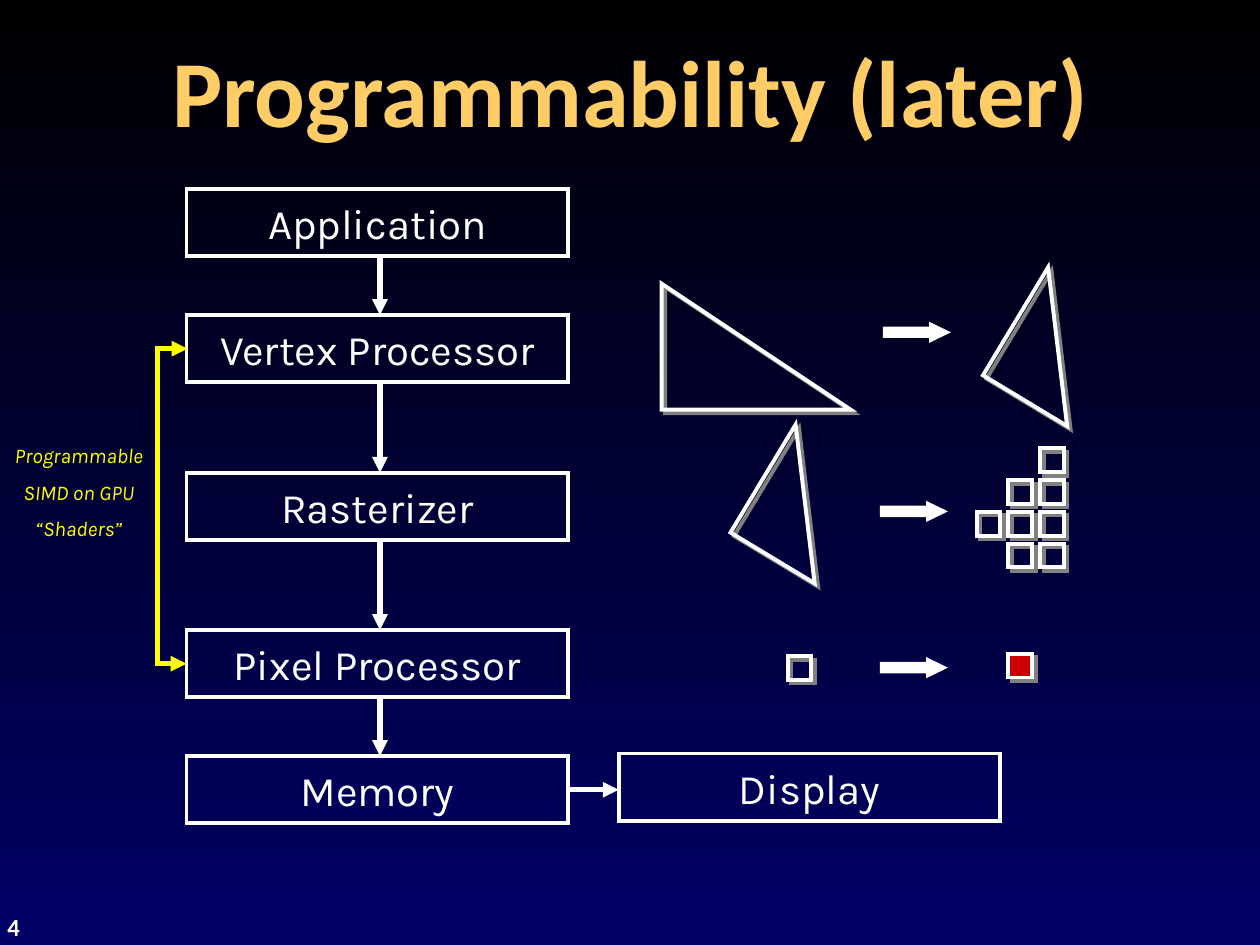
from dataclasses import dataclass
from itertools import pairwise

from lxml.etree import SubElement
from pptx import Presentation
from pptx.dml.color import RGBColor
from pptx.enum.shapes import MSO_CONNECTOR, MSO_SHAPE
from pptx.enum.text import MSO_ANCHOR, PP_ALIGN
from pptx.oxml.ns import qn
from pptx.util import Cm, Pt


@dataclass(frozen=True)
class Theme:
    white: RGBColor = RGBColor(0xFF, 0xFF, 0xFF)
    gold: RGBColor = RGBColor(0xFF, 0xCC, 0x66)
    yellow: RGBColor = RGBColor(0xFF, 0xFF, 0x00)
    red: RGBColor = RGBColor(0xCC, 0x00, 0x00)
    sky_top: RGBColor = RGBColor(0x00, 0x00, 0x00)
    sky_bottom: RGBColor = RGBColor(0x00, 0x00, 0x66)
    shadow: str = "808080"
    heading_font: str = "Calibri"
    body_font: str = "Karla"
    title_size: int = 54
    stage_size: int = 24
    number_size: int = 14
    note_size: int = 12
    outline: float = 2.25
    arrow: float = 3


@dataclass(frozen=True)
class Box:
    """A region in centimetres."""
    left: float
    top: float
    width: float
    height: float

    def inner(self, dx, dy, width, height):
        return Box(self.left + dx, self.top + dy, width, height)

    def lengths(self):
        return [Cm(v) for v in (self.left, self.top, self.width, self.height)]


THEME = Theme()
PIXEL = 0.48
PIXEL_PITCH = 0.64
COVERAGE = ("..#", ".##", "###", ".##")


def write(frame, text, size, color, font=THEME.body_font, bold=False,
          italic=False, align=PP_ALIGN.CENTER, gap=0):
    frame.word_wrap = True
    frame.vertical_anchor = MSO_ANCHOR.MIDDLE
    frame.text = text
    for index, paragraph in enumerate(frame.paragraphs):
        paragraph.alignment = align
        if index:
            paragraph.space_before = Pt(gap)
        for run in paragraph.runs:
            run.font.name, run.font.size = font, Pt(size)
            run.font.bold, run.font.italic = bold, italic
            run.font.color.rgb = color


def add_label(shapes, box, text, size, color, **style):
    write(shapes.add_textbox(*box.lengths()).text_frame, text, size, color, **style)


def add_outline(shapes, kind, box, fill=None, shadow=False):
    shape = shapes.add_shape(kind, *box.lengths())
    if fill is None:
        shape.fill.background()
    else:
        shape.fill.solid()
        shape.fill.fore_color.rgb = fill
    shape.line.color.rgb = THEME.white
    shape.line.width = Pt(THEME.outline)
    SubElement(shape.line._ln, qn("a:miter"), lim="800000")
    shape.shadow.inherit = False
    if shadow:
        effects = shape._element.spPr.find(qn("a:effectLst"))
        outer = SubElement(effects, qn("a:outerShdw"), dist=str(Pt(2.8)),
                           dir="2700000", algn="ctr", rotWithShape="0")
        SubElement(outer, qn("a:srgbClr"), val=THEME.shadow)
    return shape


def add_arrow(shapes, kind, start, end, color, ends=("tailEnd",)):
    arrow = shapes.add_connector(kind, *(Cm(v) for v in (*start, *end)))
    arrow.line.color.rgb = color
    arrow.line.width = Pt(THEME.arrow)
    SubElement(arrow.line._ln, qn("a:miter"), lim="800000")
    for end_name in ends:
        SubElement(arrow.line._ln, qn(f"a:{end_name}"), type="triangle")
    SubElement(arrow._element.spPr, qn("a:effectLst"))
    return arrow


def add_stage(shapes, box, name):
    stage = add_outline(shapes, MSO_SHAPE.RECTANGLE, box)
    write(stage.text_frame, name, THEME.stage_size, THEME.white)


def add_pipeline(shapes, box):
    """Stack the stages downwards, with the display beside the last one."""
    width, height = 7.7, 1.36
    stages = {"Application": 0, "Vertex Processor": 2.54, "Rasterizer": 5.72,
              "Pixel Processor": 8.89, "Memory": 11.43}
    for name, dy in stages.items():
        add_stage(shapes, box.inner(0, dy, width, height), name)
    center = box.left + 3.9
    for above, below in pairwise(stages.values()):
        add_arrow(shapes, MSO_CONNECTOR.STRAIGHT,
                  (center, box.top + above + height), (center, box.top + below),
                  THEME.white)
    middle = box.top + stages["Memory"] + height / 2
    display_dx = 8.71
    add_arrow(shapes, MSO_CONNECTOR.STRAIGHT, (box.left + width, middle),
              (box.left + display_dx, middle), THEME.white)
    add_stage(shapes, box.inner(display_dx, 11.38, width, height), "Display")


def add_shader_bracket(shapes, box):
    """Join the two programmable stages by a bracket, with a note on its left."""
    right, offset = box.left + box.width, 0.02
    bracket = add_arrow(shapes, MSO_CONNECTOR.ELBOW, (right + offset, box.top),
                        (right, box.top + box.height), THEME.yellow,
                        ends=("headEnd", "tailEnd"))
    geometry = bracket._element.spPr.find(qn("a:prstGeom"))
    guides = geometry.find(qn("a:avLst"))
    if guides is None:
        guides = SubElement(geometry, qn("a:avLst"))
    reach = 0.6
    SubElement(guides, qn("a:gd"), name="adj1",
               fmla=f"val {round(reach / offset * 100000)}")
    add_label(shapes, box.inner(0, 1.73, 3.84, 2.31),
              "Programmable\nSIMD on GPU\n“Shaders”", THEME.note_size,
              THEME.yellow, italic=True, gap=6.5)


def add_block_arrow(shapes, box):
    arrow = add_outline(shapes, MSO_SHAPE.RIGHT_ARROW, box, THEME.white)
    arrow.adjustments[0], arrow.adjustments[1] = 0.5, 1.03


def add_turned_triangle(shapes, box):
    add_outline(shapes, MSO_SHAPE.RIGHT_TRIANGLE, box, shadow=True).rotation = 31.1


def add_pixel(shapes, box, fill=None):
    add_outline(shapes, MSO_SHAPE.RECTANGLE, box, fill, shadow=True)


def add_vertex_example(shapes, box):
    group = shapes.add_group_shape().shapes
    add_outline(group, MSO_SHAPE.RIGHT_TRIANGLE, box.inner(0, 0, 3.81, 2.54),
                shadow=True)
    add_turned_triangle(group, box.inner(6.99, 0, 1.98, 2.54))
    add_block_arrow(group, box.inner(4.5, 0.83, 1.24, 0.3))


def add_raster_example(shapes, box):
    group = shapes.add_group_shape().shapes
    add_turned_triangle(group, box.inner(0, 0, 1.98, 2.54))
    for row, cells in enumerate(COVERAGE):
        for column, cell in enumerate(cells):
            if cell == "#":
                add_pixel(group, box.inner(4.45 + column * PIXEL_PITCH,
                                           0.15 + row * PIXEL_PITCH, PIXEL, PIXEL))
    add_block_arrow(group, box.inner(2.54, 1.27, 1.24, 0.3))


def add_pixel_example(shapes, box):
    group = shapes.add_group_shape().shapes
    add_pixel(group, box.inner(0, 0.05, PIXEL, PIXEL))
    add_block_arrow(group, box.inner(1.9, 0.13, 1.24, 0.3))
    add_pixel(group, box.inner(4.45, 0, PIXEL, PIXEL), THEME.red)


def paint_background(slide):
    fill = slide.background.fill
    fill.gradient()
    fill.gradient_angle = 270
    for stop, color in zip(fill.gradient_stops, (THEME.sky_top, THEME.sky_bottom)):
        stop.color.rgb = color


def main():
    deck = Presentation()
    deck.slide_width, deck.slide_height = Cm(25.4), Cm(19.05)
    slide = deck.slides.add_slide(deck.slide_layouts[6])
    shapes = slide.shapes
    paint_background(slide)
    add_label(shapes, Box(-0.1, 18.26, 1.68, 0.84), "4", THEME.number_size,
              THEME.white, font=THEME.heading_font, bold=True, align=PP_ALIGN.LEFT)
    add_label(shapes, Box(0.43, 0.43, 24.56, 2.74), "Programmability (later)",
              THEME.title_size, THEME.gold, font=THEME.heading_font, bold=True)
    add_pipeline(shapes, Box(3.76, 3.81, 16.41, 12.79))
    add_vertex_example(shapes, Box(13.34, 5.72, 8.97, 2.54))
    add_raster_example(shapes, Box(15.24, 8.89, 6.2, 2.54))
    add_pixel_example(shapes, Box(15.88, 13.18, 4.93, 0.53))
    add_shader_bracket(shapes, Box(-0.33, 7.03, 4.09, 6.35))
    deck.save("out.pptx")


if __name__ == "__main__":
    main()
